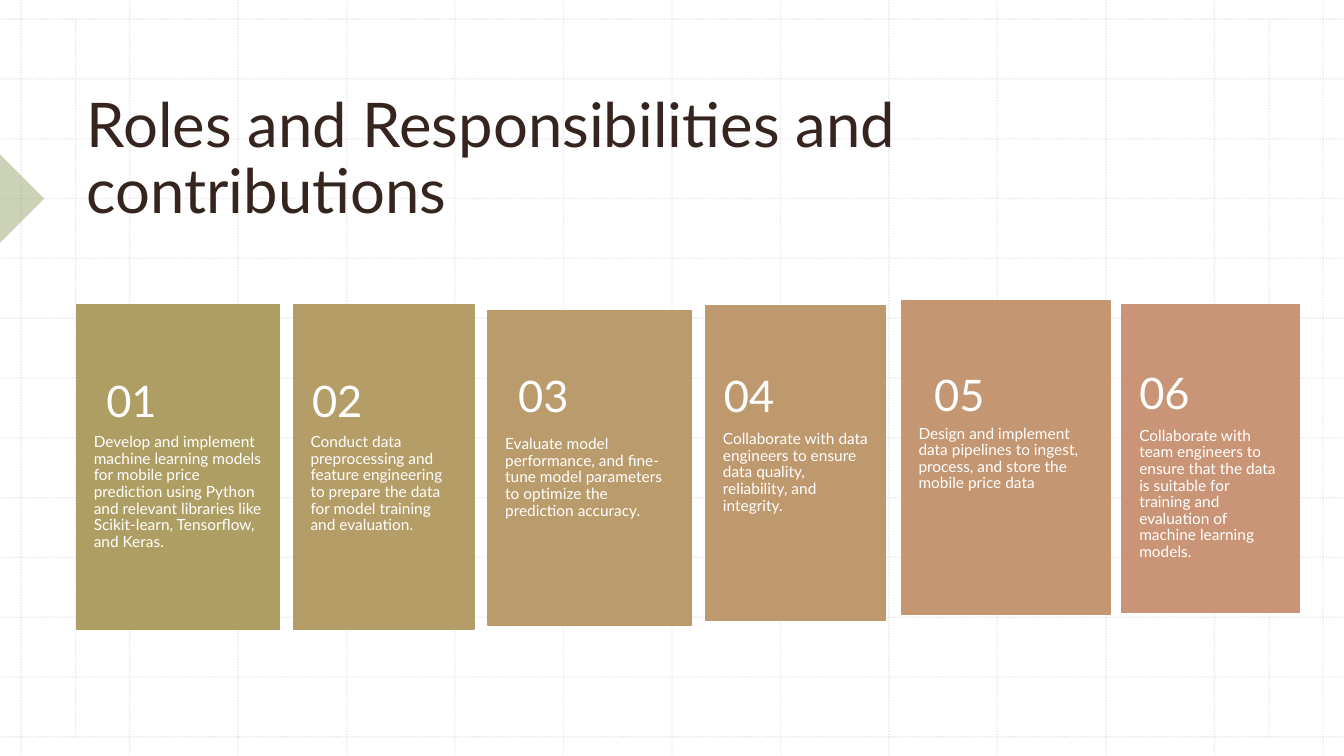
import pptx
import pptx.util
import pptx.dml.color
import pptx.enum.dml
import pptx.enum.shapes
import pptx.enum.text
import pptx.oxml
import pptx.oxml.ns
from pptx.util import Inches

ANCHOR = pptx.enum.text.MSO_ANCHOR
SHAPE = pptx.enum.shapes.MSO_SHAPE


def paint(color_format, color, opacity=100):
    """Set a colour from a hex string, with an opacity in percent."""
    color_format.rgb = pptx.dml.color.RGBColor.from_string(color)
    if opacity < 100:
        choice = color_format._xFill.find(pptx.oxml.ns.qn("a:srgbClr"))
        alpha = pptx.oxml.parse_xml(
            f'<a:alpha {pptx.oxml.ns.nsdecls("a")} val="{opacity * 1000}"/>')
        choice.append(alpha)


def add_text(page, place, text, size, color, anchor, insets):
    """Add a wrapped text box with one paragraph of one run."""
    box = page.shapes.add_textbox(*map(Inches, place))
    frame = box.text_frame
    frame.word_wrap = True
    frame.vertical_anchor = anchor
    (frame.margin_left, frame.margin_top,
     frame.margin_right, frame.margin_bottom) = map(Inches, insets)
    para = frame.paragraphs[0]
    para.line_spacing = 0.9
    span = para.add_run()
    span.text = text
    span.font.name = "Lato"
    span.font.size = pptx.util.Pt(size)
    paint(span.font.color, color)


deck = pptx.Presentation()
deck.slide_width = Inches(13.33)
deck.slide_height = Inches(7.5)
page = deck.slides.add_slide(deck.slide_layouts[6])

# Dotted background grid: 13 columns, 13 rows and two margin lines
columns = [0.21 + 12.91 / 12 * step for step in range(13)]
rows = [0.19 + 7.12 / 12 * step for step in range(13)]
grid = [(x, 0, x, 7.5) for x in columns]
grid += [(0, y, 13.33, y) for y in rows]
grid += [(x, 0.19, x, 7.31) for x in (0.75, 12.59)]
for ends in grid:
    rule = page.shapes.add_connector(
        pptx.enum.shapes.MSO_CONNECTOR.STRAIGHT, *map(Inches, ends))
    rule.line.width = pptx.util.Pt(1)
    rule.line.fill.solid()
    stroke = rule.line.fill._xPr.find(pptx.oxml.ns.qn("a:solidFill"))
    stroke.append(pptx.oxml.parse_xml(
        f'<a:srgbClr {pptx.oxml.ns.nsdecls("a")} val="BCBCBC">'
        '<a:alpha val="30000"/></a:srgbClr>'))
    rule.line.dash_style = pptx.enum.dml.MSO_LINE.ROUND_DOT
    rule._element.spPr.append(pptx.oxml.parse_xml(
        f'<a:effectLst {pptx.oxml.ns.nsdecls("a")}/>'))

# Arrow at the left edge
arrow = page.shapes.add_shape(
    SHAPE.RIGHT_TRIANGLE, *map(Inches, (-0.31, 1.66, 0.62, 0.62)))
arrow.rotation = 225
arrow.shadow.inherit = False
arrow.line.fill.background()
arrow.fill.solid()
paint(arrow.fill.fore_color, "9BA76F", 50)

add_text(page, (0.76, 0.79, 11.29, 1.51),
         "Roles and Responsibilities and contributions",
         44, "36251E", ANCHOR.BOTTOM, (0.1, 0.05, 0.1, 0.05))

# Cards: left, top, width, height, number top, colour, role
cards = [
    (0.76, 3.02, 2.01, 3.22, 3.58, "AF9E64",
     "Develop and implement machine learning models for mobile price "
     "prediction using Python and relevant libraries like Scikit-learn, "
     "Tensorflow, and Keras."),
    (2.91, 3.02, 1.79, 3.22, 3.58, "B59D67",
     "Conduct data preprocessing and feature engineering to prepare the "
     "data for model training and evaluation."),
    (4.84, 3.08, 2.02, 3.12, 3.53, "BA9B6B",
     "Evaluate model performance, and fine-tune model parameters to "
     "optimize the prediction accuracy."),
    (7, 3.03, 1.78, 3.12, 3.53, "BF996E",
     "Collaborate with data engineers to ensure data quality, "
     "reliability, and integrity."),
    (8.94, 2.98, 2.07, 3.11, 3.52, "C49772",
     "Design and implement data pipelines to ingest, process, and store "
     "the mobile price data"),
    (11.13, 3.02, 1.76, 3.06, 3.5, "C99576",
     "Collaborate with team engineers to ensure that the data is suitable "
     "for training and evaluation of machine learning models."),
]
number_width = 1.76
for number, card in enumerate(cards, 1):
    left, top, width, height, number_top, color, role = card
    panel = page.shapes.add_shape(
        SHAPE.RECTANGLE, *map(Inches, (left, top, width, height)))
    panel.shadow.inherit = False
    panel.fill.solid()
    paint(panel.fill.fore_color, color)
    paint(panel.line.color, color)
    panel.line.width = pptx.util.Pt(1)
    # The role fills the lower 60 % of its card
    add_text(page, (left, top + 0.4 * height, width, 0.6 * height), role,
             11, "FFFFFF", ANCHOR.TOP, (0.17, 0, 0.17, 0.36))
    number_left = left + (width - number_width) / 2
    add_text(page, (number_left, number_top, number_width, 0.85),
             f"{number:02}", 31, "FFFFFF", ANCHOR.MIDDLE,
             (0.17, 0.18, 0.17, 0.18))

deck.save("out.pptx")
